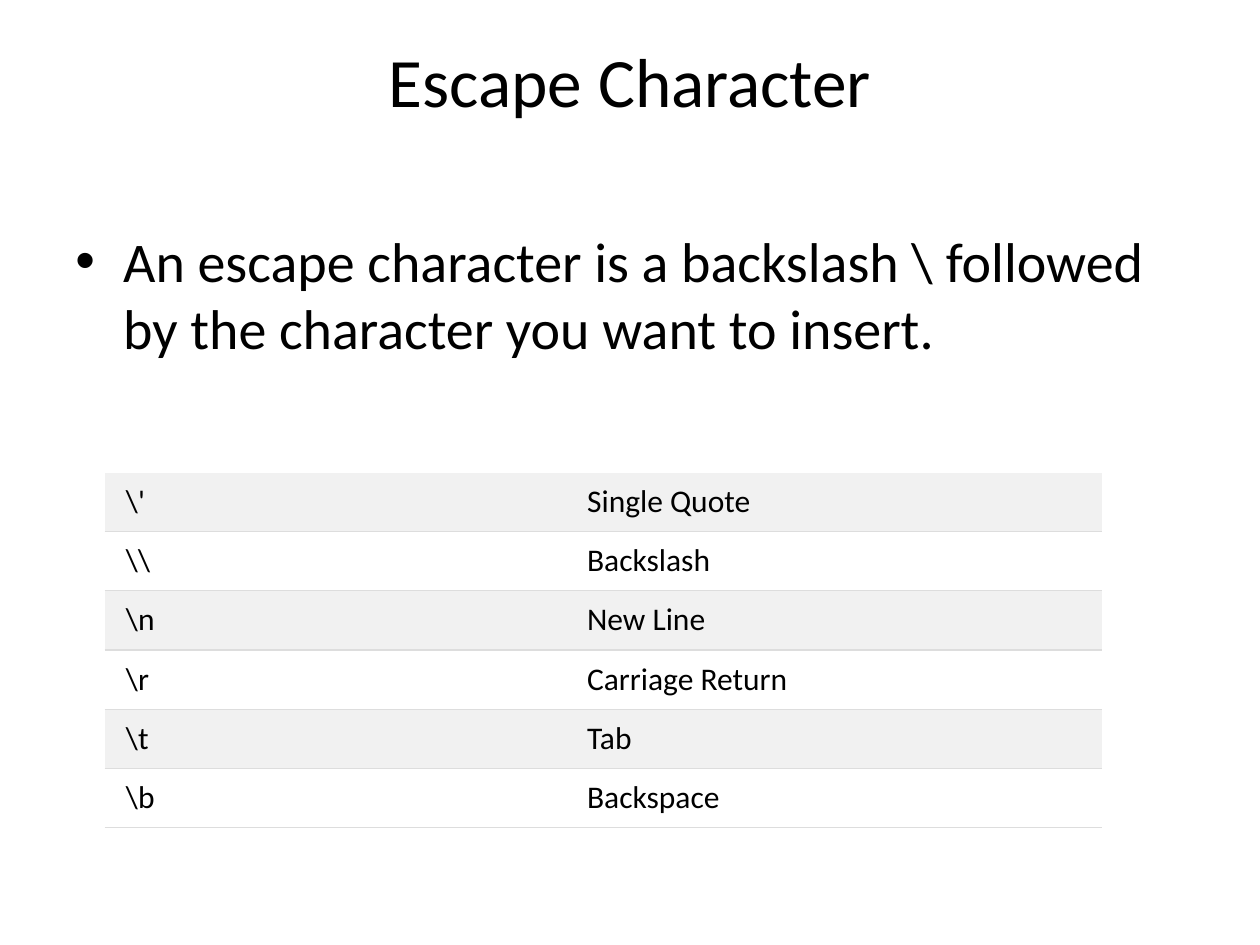
from lxml import etree
from pptx import Presentation
from pptx.dml.color import RGBColor
from pptx.enum.text import MSO_ANCHOR, PP_ALIGN
from pptx.oxml.ns import qn
from pptx.util import Inches, Pt

TOP, CENTER = MSO_ANCHOR.TOP, PP_ALIGN.CENTER
FONT = "Calibri"
TEXT, STRIPE, PLAIN, RULE = "000000", "F1F1F1", "FFFFFF", "DDDDDD"
NO_STYLE = "{2D5ABB26-0587-4C30-8999-92F81FD0307C}"

MARGIN, CONTENT_WIDTH = 0.5, 9
COLUMN_WIDTHS = (3.75, 4.17)
ROW_HEIGHT = 0.47
FIRST_INSET, INSET = 0.17, 0.08

ESCAPES = [
    (r"\'", "Single Quote"),
    (r"\\", "Backslash"),
    (r"\n", "New Line"),
    (r"\r", "Carriage Return"),
    (r"\t", "Tab"),
    (r"\b", "Backspace"),
]


def color(value):
    return RGBColor.from_string(value)


def add_run(paragraph, text, size):
    run = paragraph.add_run()
    run.text = text
    run.font.name = FONT
    run.font.size = Pt(size)
    run.font.color.rgb = color(TEXT)


def place(shape, left, top, width, height):
    shape.left, shape.top = Inches(left), Inches(top)
    shape.width, shape.height = Inches(width), Inches(height)


def set_title(slide, text):
    title = slide.shapes.title
    place(title, MARGIN, 0.3, CONTENT_WIDTH, 1.25)
    frame = title.text_frame
    frame.vertical_anchor = TOP
    frame.margin_top = 0
    paragraph = frame.paragraphs[0]
    paragraph.alignment = CENTER
    add_run(paragraph, text, 39.6)


def add_bullet(slide, text):
    box = slide.shapes.add_textbox(
        Inches(MARGIN), Inches(1.75), Inches(CONTENT_WIDTH), Inches(4.95))
    box.text_frame.word_wrap = True
    paragraph = box.text_frame.paragraphs[0]
    add_run(paragraph, text, 32)

    # Hanging indent, proportional space before, bullet sign
    properties = paragraph._p.get_or_add_pPr()
    properties.set("marL", str(Inches(0.38)))
    properties.set("indent", str(-Inches(0.38)))
    space = etree.SubElement(properties, qn("a:spcBef"))
    etree.SubElement(space, qn("a:spcPct"), val="20000")
    etree.SubElement(properties, qn("a:buFont"), typeface="Arial")
    etree.SubElement(properties, qn("a:buChar"), char="•")


def add_bottom_border(cell):
    line = etree.Element(qn("a:lnB"), w=str(Pt(0.75)))
    fill = etree.SubElement(line, qn("a:solidFill"))
    etree.SubElement(fill, qn("a:srgbClr"), val=RULE)
    cell._tc.get_or_add_tcPr().insert(0, line)


def fill_cell(cell, text, background, left_inset):
    cell.margin_left = Inches(left_inset)
    cell.margin_right = cell.margin_top = cell.margin_bottom = Inches(INSET)
    cell.fill.solid()
    cell.fill.fore_color.rgb = color(background)
    add_bottom_border(cell)
    add_run(cell.text_frame.paragraphs[0], text, 18)


def add_escape_table(slide, left, top):
    frame = slide.shapes.add_table(
        len(ESCAPES), len(COLUMN_WIDTHS), Inches(left), Inches(top),
        Inches(sum(COLUMN_WIDTHS)), Inches(ROW_HEIGHT * len(ESCAPES)))
    table = frame.table
    table.first_row = table.horz_banding = False
    table._tbl.tblPr.find(qn("a:tableStyleId")).text = NO_STYLE
    for column, width in zip(table.columns, COLUMN_WIDTHS):
        column.width = Inches(width)

    # Striped rows, with a wider inset in the first column
    for row, texts in enumerate(ESCAPES):
        background = PLAIN if row % 2 else STRIPE
        for column, text in enumerate(texts):
            inset = INSET if column else FIRST_INSET
            fill_cell(table.cell(row, column), text, background, inset)


def main():
    presentation = Presentation()
    presentation.slide_width, presentation.slide_height = Inches(10), Inches(7.5)
    slide = presentation.slides.add_slide(presentation.slide_layouts[5])
    set_title(slide, "Escape Character")
    add_bullet(slide, "An escape character is a backslash \\ followed "
                      "by the character you want to insert.")
    add_escape_table(slide, 0.83, 3.75)
    presentation.save("out.pptx")


if __name__ == "__main__":
    main()
